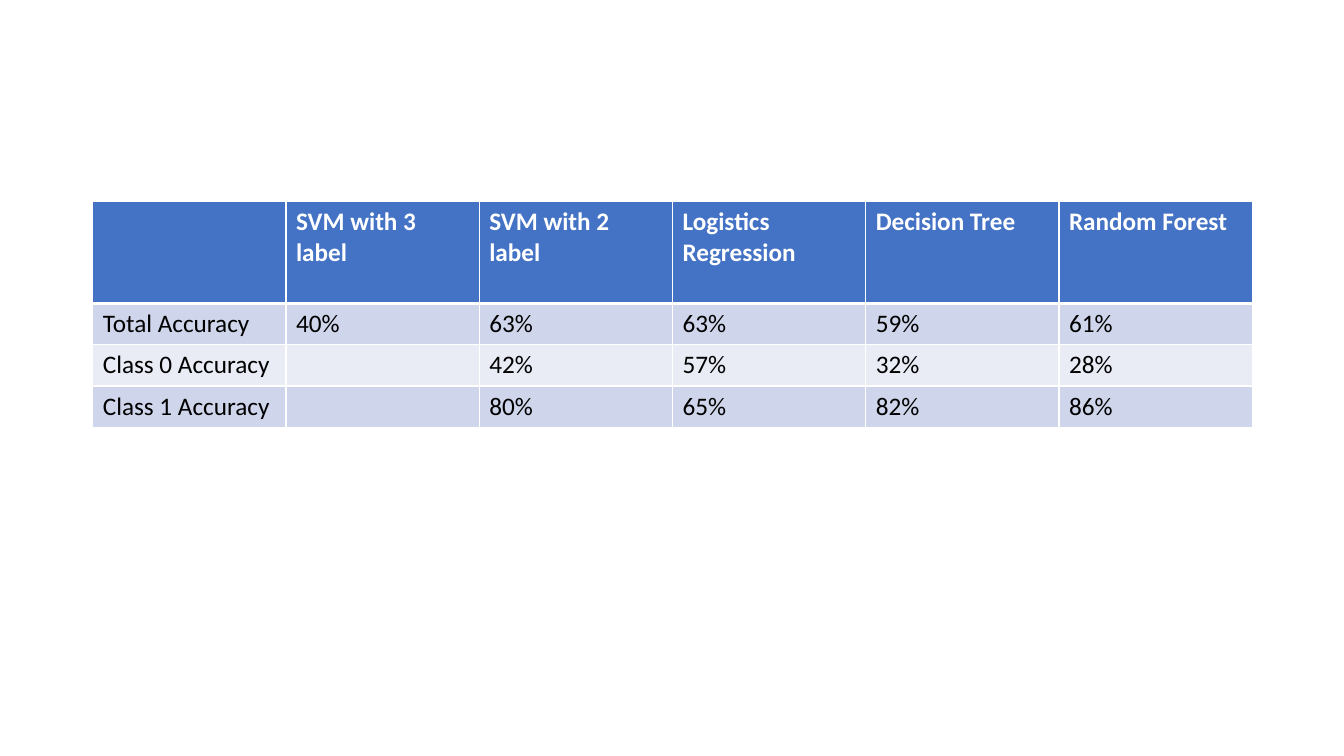
from dataclasses import dataclass

from lxml import etree
from pptx import Presentation
from pptx.dml.color import RGBColor
from pptx.oxml import ns
from pptx.util import Inches, Pt

# Content
MODELS = ["", "SVM with 3 label", "SVM with 2 label", "Logistics Regression",
          "Decision Tree", "Random Forest"]
ACCURACIES = [
    ["Total Accuracy", "40%", "63%", "63%", "59%", "61%"],
    ["Class 0 Accuracy", "", "42%", "57%", "32%", "28%"],
    ["Class 1 Accuracy", "", "80%", "65%", "82%", "86%"],
]


@dataclass(frozen=True)
class Theme:
    font: str = "Calibri"
    size: int = 18
    header: str = "4472C4"
    bands: tuple = ("CFD5EA", "E9EBF5")
    dark: str = "000000"
    light: str = "FFFFFF"
    rule: int = 1
    header_rule: int = 3


THEME = Theme()

# Layout, in inches
LEFT, TOP, WIDTH = 0.92, 2, 11.5
HEADER_HEIGHT, ROW_HEIGHT = 1.01, 0.41


def write(cell, content, color=THEME.dark, bold=False):
    paragraph = cell.text_frame.paragraphs[0]
    paragraph.font.size = Pt(THEME.size)
    if content:
        run = paragraph.add_run()
        run.text = content
        run.font.name, run.font.size, run.font.bold = THEME.font, Pt(THEME.size), bold
        run.font.color.rgb = RGBColor.from_string(color)


def paint(cell, fill, top, bottom):
    cell.fill.solid()
    cell.fill.fore_color.rgb = RGBColor.from_string(fill)
    # Borders come before the fill in the cell properties
    properties = cell._tc.get_or_add_tcPr()
    sides = {"lnL": THEME.rule, "lnR": THEME.rule, "lnT": top, "lnB": bottom}
    for place, (side, weight) in enumerate(sides.items()):
        border = etree.Element(ns.qn(f"a:{side}"), w=str(Pt(weight)))
        solid = etree.SubElement(border, ns.qn("a:solidFill"))
        etree.SubElement(solid, ns.qn("a:srgbClr"), val=THEME.light)
        properties.insert(place, border)


# Slide
deck = Presentation()
deck.slide_width, deck.slide_height = Inches(13.33), Inches(7.5)
slide = deck.slides.add_slide(deck.slide_layouts[6])

# Accuracy table
rows = [MODELS] + ACCURACIES
heights = [HEADER_HEIGHT] + [ROW_HEIGHT] * len(ACCURACIES)
comparison = slide.shapes.add_table(
    len(rows), len(MODELS), Inches(LEFT), Inches(TOP),
    Inches(WIDTH), Inches(sum(heights))).table
for column in comparison.columns:
    column.width = Inches(WIDTH / len(MODELS))

for r, (entries, height) in enumerate(zip(rows, heights)):
    comparison.rows[r].height = Inches(height)
    is_header = r == 0
    fill = THEME.header if is_header else THEME.bands[(r - 1) % 2]
    top = THEME.header_rule if r == 1 else THEME.rule
    bottom = THEME.header_rule if is_header else THEME.rule
    for c, entry in enumerate(entries):
        cell = comparison.cell(r, c)
        write(cell, entry, color=THEME.light if is_header else THEME.dark,
              bold=is_header)
        paint(cell, fill, top, bottom)

deck.save("out.pptx")
